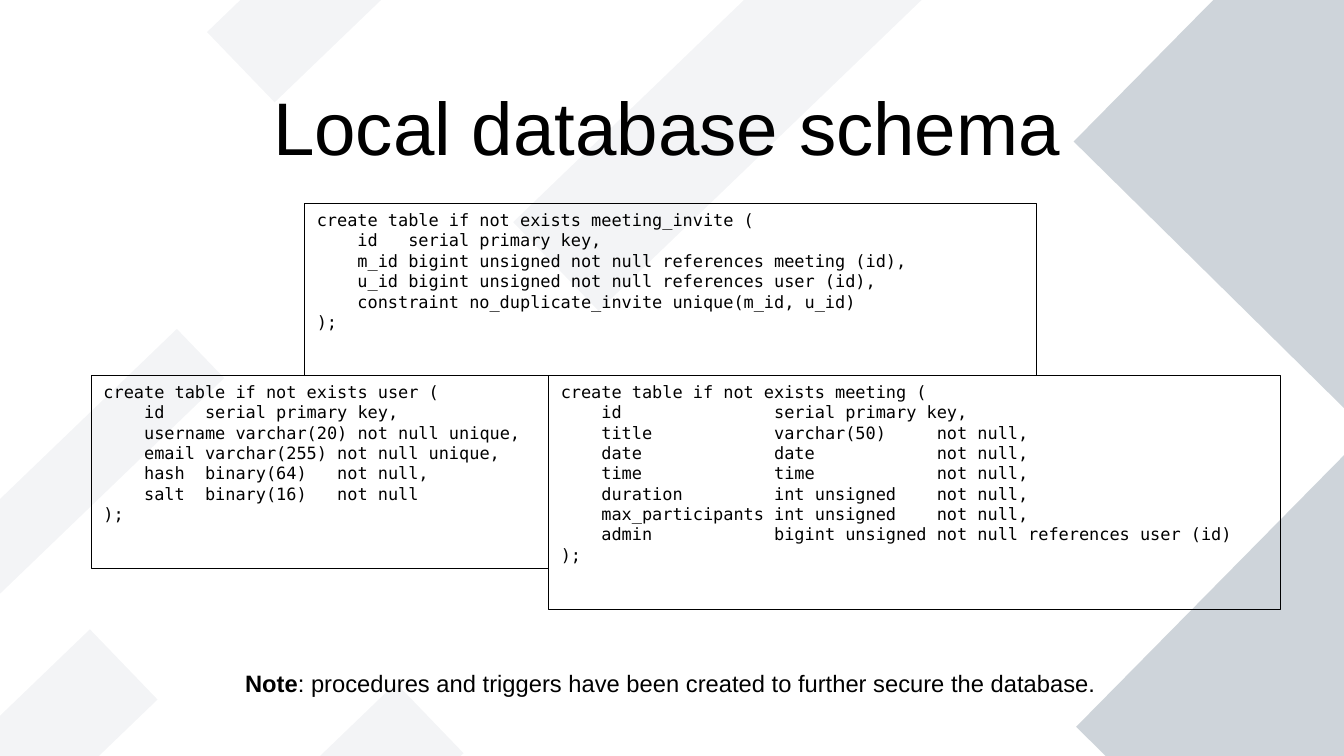
from dataclasses import dataclass
from typing import NamedTuple

from lxml.etree import SubElement
from pptx import Presentation
from pptx.dml.color import RGBColor
from pptx.enum.shapes import MSO_SHAPE as Preset
from pptx.enum.text import MSO_ANCHOR as Anchor, MSO_AUTO_SIZE as AutoSize, PP_ALIGN as Align
from pptx.oxml.ns import qn
from pptx.util import Inches, Pt


@dataclass(frozen=True)
class Theme:
    ink: RGBColor = RGBColor(0, 0, 0)
    diamond: RGBColor = RGBColor(0xCE, 0xD4, 0xDA)
    stripe: RGBColor = RGBColor(0x8D, 0x99, 0xAE)
    stripe_opacity: int = 10
    text_font: str = "Arial"
    code_font: str = "DejaVu Sans Mono"
    title_size: int = 44
    note_size: int = 14
    code_size: int = 10


class Box(NamedTuple):
    left: float
    top: float
    width: float
    height: float

    def emu(self):
        return [Inches(length) for length in self]


THEME = Theme()
PAGE = Box(0, 0, 11.02, 6.2)
DIAMOND_TILT, STRIPE_TILT = 314.6, 316.1
DIAMONDS = [Box(9.46, -0.44, 3.17, 3.17), Box(9.48, 4.36, 3.17, 3.17)]
STRIPES = [
    Box(1.09, 6.47, 2.83, 0.8),
    Box(-1.42, 6.03, 2.83, 0.8),
    Box(4.03, 0.37, 3.78, 1.01),
    Box(1.58, -0.83, 2.83, 0.8),
    Box(-0.79, 3.6, 2.83, 0.56),
]

MEETING_SQL = """create table if not exists meeting (
    id               serial primary key,
    title            varchar(50)     not null,
    date             date            not null,
    time             time            not null,
    duration         int unsigned    not null,
    max_participants int unsigned    not null,
    admin            bigint unsigned not null references user (id)
);"""

USER_SQL = """create table if not exists user (
    id    serial primary key,
    username varchar(20) not null unique,
    email varchar(255) not null unique,
    hash  binary(64)   not null,
    salt  binary(16)   not null
);"""

INVITE_SQL = """create table if not exists meeting_invite (
    id   serial primary key,
    m_id bigint unsigned not null references meeting (id),
    u_id bigint unsigned not null references user (id),
    constraint no_duplicate_invite unique(m_id, u_id)
);"""


def style_text(frame, font_name, size, align):
    frame.word_wrap = True
    frame.auto_size = AutoSize.NONE
    for paragraph in frame.paragraphs:
        paragraph.alignment = align
        for run in paragraph.runs:
            run.font.name = font_name
            run.font.size = Pt(size)
            run.font.color.rgb = THEME.ink


def add_tilted_block(slide, box, tilt, color, opacity=100):
    block = slide.shapes.add_shape(Preset.RECTANGLE, *box.emu())
    block.rotation = tilt
    block.shadow.inherit = False
    block.fill.solid()
    block.fill.fore_color.rgb = color
    if opacity < 100:
        fill_color = block.element.spPr.find(qn("a:solidFill"))[0]
        SubElement(fill_color, qn("a:alpha"), val=str(opacity * 1000))
    block.line.fill.background()


def add_backdrop(slide, page):
    """Lay the tilted diamonds and stripes around the edges of the page."""
    def on_page(box):
        return box._replace(left=page.left + box.left, top=page.top + box.top)

    for box in DIAMONDS:
        add_tilted_block(slide, on_page(box), DIAMOND_TILT, THEME.diamond)
    for box in STRIPES:
        add_tilted_block(slide, on_page(box), STRIPE_TILT, THEME.stripe, THEME.stripe_opacity)


def add_title(slide, box):
    """Fill the title placeholder and bring it in front of the backdrop."""
    title = slide.shapes.title
    title.left, title.top, title.width, title.height = box.emu()
    frame = title.text_frame
    frame.text = "Local database schema"
    frame.margin_left = frame.margin_top = frame.margin_right = frame.margin_bottom = 0
    frame.vertical_anchor = Anchor.MIDDLE
    style_text(frame, THEME.text_font, THEME.title_size, Align.CENTER)
    slide.shapes.element.append(title.element)


def add_code_panel(slide, box, sql):
    panel = slide.shapes.add_shape(Preset.RECTANGLE, *box.emu())
    panel.shadow.inherit = False
    panel.fill.background()
    panel.line.color.rgb = THEME.ink
    panel.line.width = Pt(0)
    frame = panel.text_frame
    frame.text = sql
    frame.vertical_anchor = Anchor.TOP
    style_text(frame, THEME.code_font, THEME.code_size, Align.LEFT)


def add_schema(slide, box):
    """Put the invite table centrally above the user and meeting tables."""
    wide, narrow, invite_height = 6, 3.75, 1.41
    lower_top = box.top + invite_height
    meeting = Box(box.left + narrow, lower_top, wide, box.height - invite_height)
    user = Box(box.left, lower_top, narrow, 1.58)
    invite = Box(box.left + 1.75, box.top, wide, invite_height)
    add_code_panel(slide, meeting, MEETING_SQL)
    add_code_panel(slide, user, USER_SQL)
    add_code_panel(slide, invite, INVITE_SQL)


def add_note(slide, box):
    frame = slide.shapes.add_textbox(*box.emu()).text_frame
    frame.vertical_anchor = Anchor.MIDDLE
    paragraph = frame.paragraphs[0]
    label, message = paragraph.add_run(), paragraph.add_run()
    label.text = "Note"
    label.font.bold = True
    message.text = ": procedures and triggers have been created to further secure the database."
    style_text(frame, THEME.text_font, THEME.note_size, Align.CENTER)


def main():
    deck = Presentation()
    deck.slide_width, deck.slide_height = Inches(PAGE.width), Inches(PAGE.height)
    title_only = deck.slide_layouts[5]
    slide = deck.slides.add_slide(title_only)
    add_backdrop(slide, PAGE)
    add_title(slide, Box(0.51, 0.51, 9.92, 1.04))
    add_schema(slide, Box(0.75, 1.67, 9.75, 3.33))
    add_note(slide, Box(1, 5.35, 9, 0.5))
    deck.save("out.pptx")


if __name__ == "__main__":
    main()
